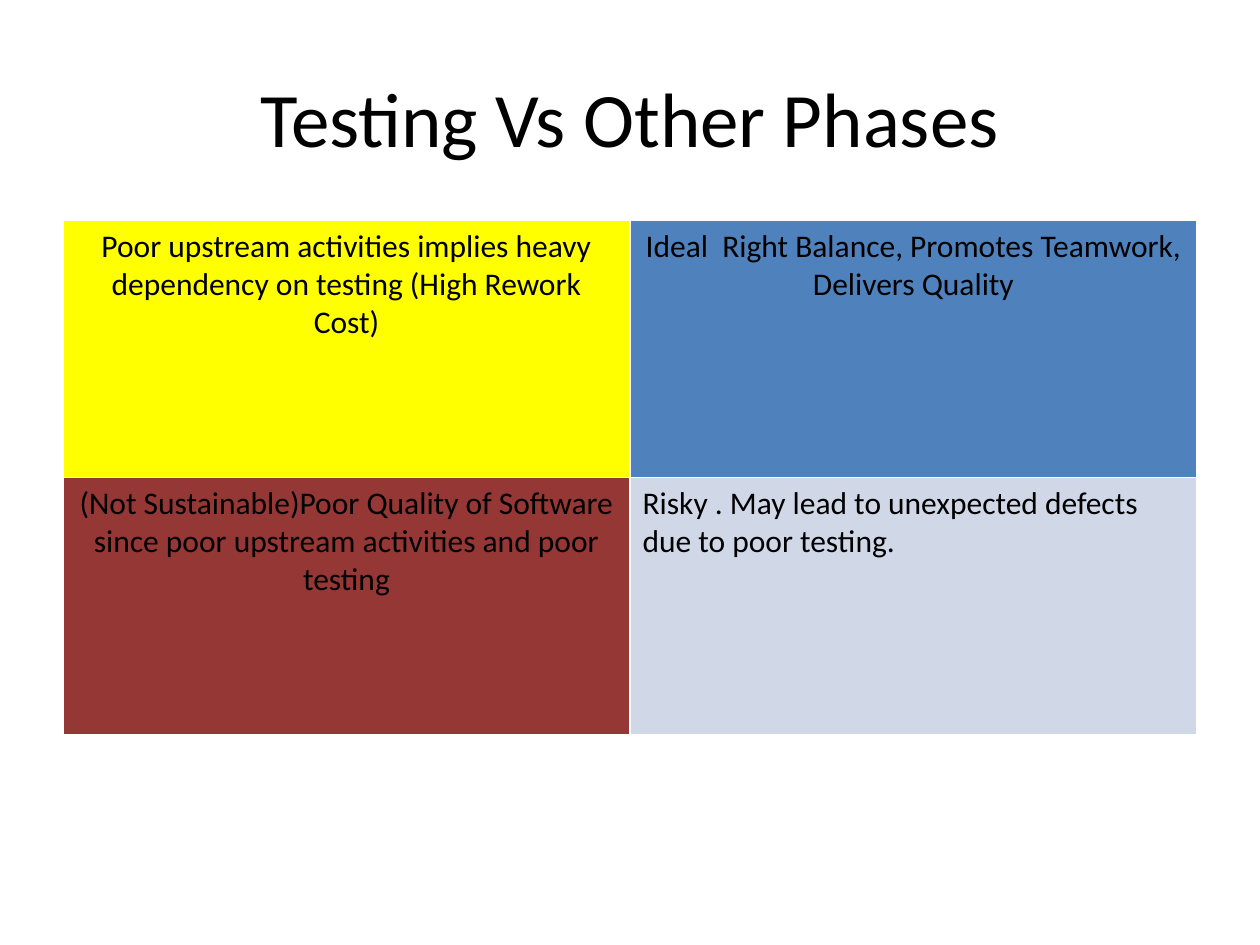
import pptx
import pptx.util
import pptx.dml.color
import pptx.enum.text
import pptx.oxml
import pptx.oxml.ns

Cm = pptx.util.Cm
Pt = pptx.util.Pt
RGBColor = pptx.dml.color.RGBColor
CENTER = pptx.enum.text.PP_ALIGN.CENTER
LEFT = pptx.enum.text.PP_ALIGN.LEFT

BLACK = RGBColor(0x00, 0x00, 0x00)
YELLOW = RGBColor(0xFF, 0xFF, 0x00)
BLUE = RGBColor(0x4F, 0x81, 0xBD)
RED = RGBColor(0x95, 0x37, 0x35)
PALE = RGBColor(0xD0, 0xD8, 0xE8)
WHITE = RGBColor(0xFF, 0xFF, 0xFF)


def write(para, text, size, align):
    para.alignment = align
    span = para.add_run()
    span.text = text
    span.font.name = "Calibri"
    span.font.size = Pt(size)
    span.font.bold = False
    span.font.color.rgb = BLACK


def add_borders(cell, color, width):
    properties = cell._tc.get_or_add_tcPr()
    for index, side in enumerate(("lnL", "lnR", "lnT", "lnB")):
        properties.insert(index, pptx.oxml.parse_xml(
            f'<a:{side} {pptx.oxml.ns.nsdecls("a")} w="{Pt(width)}">'
            f'<a:solidFill><a:srgbClr val="{color}"/></a:solidFill></a:{side}>'))


deck = pptx.Presentation()
deck.slide_width = Cm(25.4)
deck.slide_height = Cm(19.05)
page = deck.slides.add_slide(deck.slide_layouts[6])

# Title
title = page.shapes.add_textbox(Cm(1.27), Cm(0.76), Cm(22.86), Cm(3.18))
title.text_frame.word_wrap = True
title.text_frame.vertical_anchor = pptx.enum.text.MSO_ANCHOR.MIDDLE
write(title.text_frame.paragraphs[0], "Testing Vs Other Phases", 44, CENTER)

# Quadrant table
quadrants = [
    [("Poor upstream activities implies heavy dependency on testing (High Rework Cost)", YELLOW, CENTER),
     ("Ideal  Right Balance, Promotes Teamwork, Delivers Quality", BLUE, CENTER)],
    [("(Not Sustainable)Poor Quality of Software since poor upstream activities and poor testing", RED, CENTER),
     ("Risky . May lead to unexpected defects due to poor testing.", PALE, LEFT)],
]
table = page.shapes.add_table(2, 2, Cm(1.27), Cm(4.45), Cm(22.86), Cm(10.36)).table
for row, entries in enumerate(quadrants):
    for column, (text, fill, align) in enumerate(entries):
        cell = table.cell(row, column)
        cell.fill.solid()
        cell.fill.fore_color.rgb = fill
        add_borders(cell, WHITE, 1)
        write(cell.text_frame.paragraphs[0], text, 18, align)

deck.save("out.pptx")
